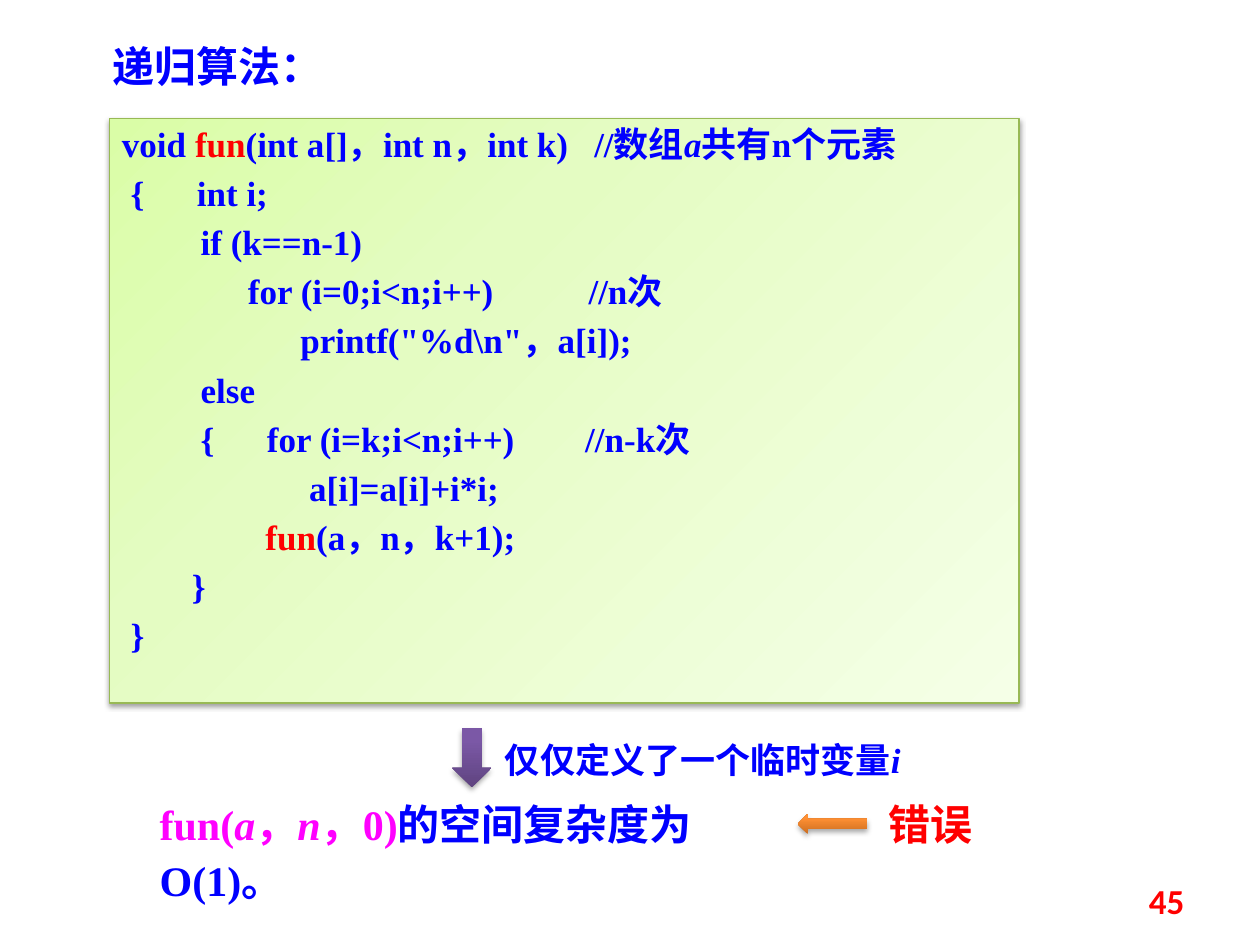
from lxml.etree import SubElement
from pptx import Presentation
from pptx.dml.color import RGBColor
from pptx.enum.shapes import MSO_SHAPE as SHAPE
from pptx.enum.text import MSO_ANCHOR as ANCHOR, MSO_AUTO_SIZE as AUTO, PP_ALIGN as ALIGN
from pptx.oxml.ns import qn
from pptx.util import Pt

BLUE = RGBColor(0x00, 0x00, 0xFF)
RED = RGBColor(0xFF, 0x00, 0x00)
MAGENTA = RGBColor(0xFF, 0x00, 0xFF)
BLACK = RGBColor(0x00, 0x00, 0x00)
BORDER = RGBColor(0x98, 0xB9, 0x55)
GREENS = [(0, RGBColor(0xDA, 0xFD, 0xA7)), (35, RGBColor(0xE4, 0xFC, 0xC2)),
          (100, RGBColor(0xF5, 0xFF, 0xE7))]
ORANGES = [(0, RGBColor(0xCC, 0x6E, 0x20)), (80, RGBColor(0xFF, 0x90, 0x34)),
           (100, RGBColor(0xFF, 0x91, 0x36))]
PURPLES = [(0, RGBColor(0x5F, 0x44, 0x80)), (80, RGBColor(0x7B, 0x58, 0xA6)),
           (100, RGBColor(0x7C, 0x57, 0xA8))]
SERIF = "Times New Roman"
CJK = "Noto Sans CJK SC"

CODE = [
    [("void ",), ("fun", RED), ("(int a[]，int n，int k)   //数组",), ("a", BLUE, True), ("共有n个元素",)],
    [(" {      int i;",)],
    [("         if (k==n-1)",)],
    [("\tfor (i=0;i<n;i++) 　　  //n次",)],
    [("\t      printf(\"%d\\n\"，a[i]);",)],
    [("         else",)],
    [("         {      for (i=k;i<n;i++)　　//n-k次",)],
    [("\t       a[i]=a[i]+i*i;",)],
    [("\t  ",), ("fun", RED), ("(a，n，k+1);",)],
    [("        }",)],
    [(" }",)],
]


class Deck:
    def __init__(self, width, height):
        self.prs = Presentation()
        self.prs.slide_width, self.prs.slide_height = Pt(width), Pt(height)
        self.s = self.prs.slides.add_slide(self.prs.slide_layouts[5])

    def add_run(self, p, size, font, text, color=BLUE, italic=False):
        r = p.add_run()
        r.text = text
        r.font.size, r.font.name = Pt(size), font
        r.font.bold, r.font.italic = True, italic
        r.font.color.rgb = color
        SubElement(r._r.get_or_add_rPr(), qn("a:ea"), typeface=CJK)

    def fill_text(self, tf, lines, size, font=SERIF, align=ALIGN.LEFT, spacing=1.1,
                  before=0, tab=None, anchor=ANCHOR.TOP):
        tf.word_wrap = True
        tf.auto_size = AUTO.NONE
        tf.vertical_anchor = anchor
        for i, line in enumerate(lines):
            p = tf.add_paragraph() if i else tf.paragraphs[0]
            p.alignment = align
            p.line_spacing = spacing
            p.space_before = Pt(before if i else 0)
            if tab:
                tabs = SubElement(p._p.get_or_add_pPr(), qn("a:tabLst"))
                SubElement(tabs, qn("a:tab"), pos=str(Pt(tab)), algn="l")
            for run in line:
                self.add_run(p, size, font, *run)

    def title(self, x, y, w, h, line, size):
        sp = self.s.shapes.title
        sp.left, sp.top, sp.width, sp.height = map(Pt, (x, y, w, h))
        self.fill_text(sp.text_frame, [line], size, align=ALIGN.JUSTIFY)

    def text(self, x, y, w, h, line, size, **style):
        sp = self.s.shapes.add_textbox(*map(Pt, (x, y, w, h)))
        self.fill_text(sp.text_frame, [line], size, **style)

    def shape(self, kind, x, y, w, h, stops, angle, alpha=35, distance=1.8):
        sp = self.s.shapes.add_shape(kind, *map(Pt, (x, y, w, h)))
        sp.fill.gradient()
        sp.fill.gradient_angle = 360 - angle
        props = sp._element.spPr
        gradient = props.find(qn("a:gradFill")).find(qn("a:gsLst"))
        for stop in list(gradient):
            gradient.remove(stop)
        for position, color in stops:
            stop = SubElement(gradient, qn("a:gs"), pos=str(position * 1000))
            SubElement(stop, qn("a:srgbClr"), val=str(color))
        sp.line.fill.background()
        sp.shadow.inherit = False
        shadow = SubElement(props.find(qn("a:effectLst")), qn("a:outerShdw"),
                            blurRad=str(Pt(3.1)), dist=str(Pt(distance)),
                            dir="5400000", rotWithShape="0")
        color = SubElement(shadow, qn("a:srgbClr"), val=str(BLACK))
        SubElement(color, qn("a:alpha"), val=str(alpha * 1000))
        return sp

    def code(self, x, y, w, h, lines, size):
        sp = self.shape(SHAPE.RECTANGLE, x, y, w, h, GREENS, 45, 38, 1.6)
        sp.line.color.rgb = BORDER
        sp.line.width = Pt(0.75)
        tf = sp.text_frame
        tf.margin_top = Pt(8.6)
        self.fill_text(tf, lines, size, align=ALIGN.JUSTIFY, spacing=Pt(18), before=10, tab=72)


def main():
    deck = Deck(720, 540)
    deck.title(56.9, 16.6, 168.5, 39.6, [("递归算法：",)], 24)
    deck.code(62.6, 67.7, 519.8, 334.1, CODE, 20)
    deck.shape(SHAPE.LEFT_ARROW, 455.8, 465.1, 39.6, 11.5, ORANGES, 270)
    deck.text(500.4, 450, 73.4, 39.6, [("错误", RED)], 24, font=CJK)
    deck.text(84.2, 450, 371.5, 39.6,
              [("fun(", MAGENTA), ("a", MAGENTA, True), ("，", MAGENTA), ("n", MAGENTA, True),
               ("，0)", MAGENTA), ("的空间复杂度为O(1)。",)], 24)
    deck.shape(SHAPE.DOWN_ARROW, 258.5, 416.2, 22.3, 33.8, PURPLES, 270)
    deck.text(281.5, 416.2, 264.2, 31.7, [("仅仅定义了一个临时变量",), ("i", BLUE, True)], 20)
    deck.text(516.2, 500.4, 167.8, 28.8, [("45", RED)], 20, font="Calibri",
              align=ALIGN.RIGHT, spacing=1.0, anchor=ANCHOR.MIDDLE)
    deck.prs.save("out.pptx")


if __name__ == "__main__":
    main()
